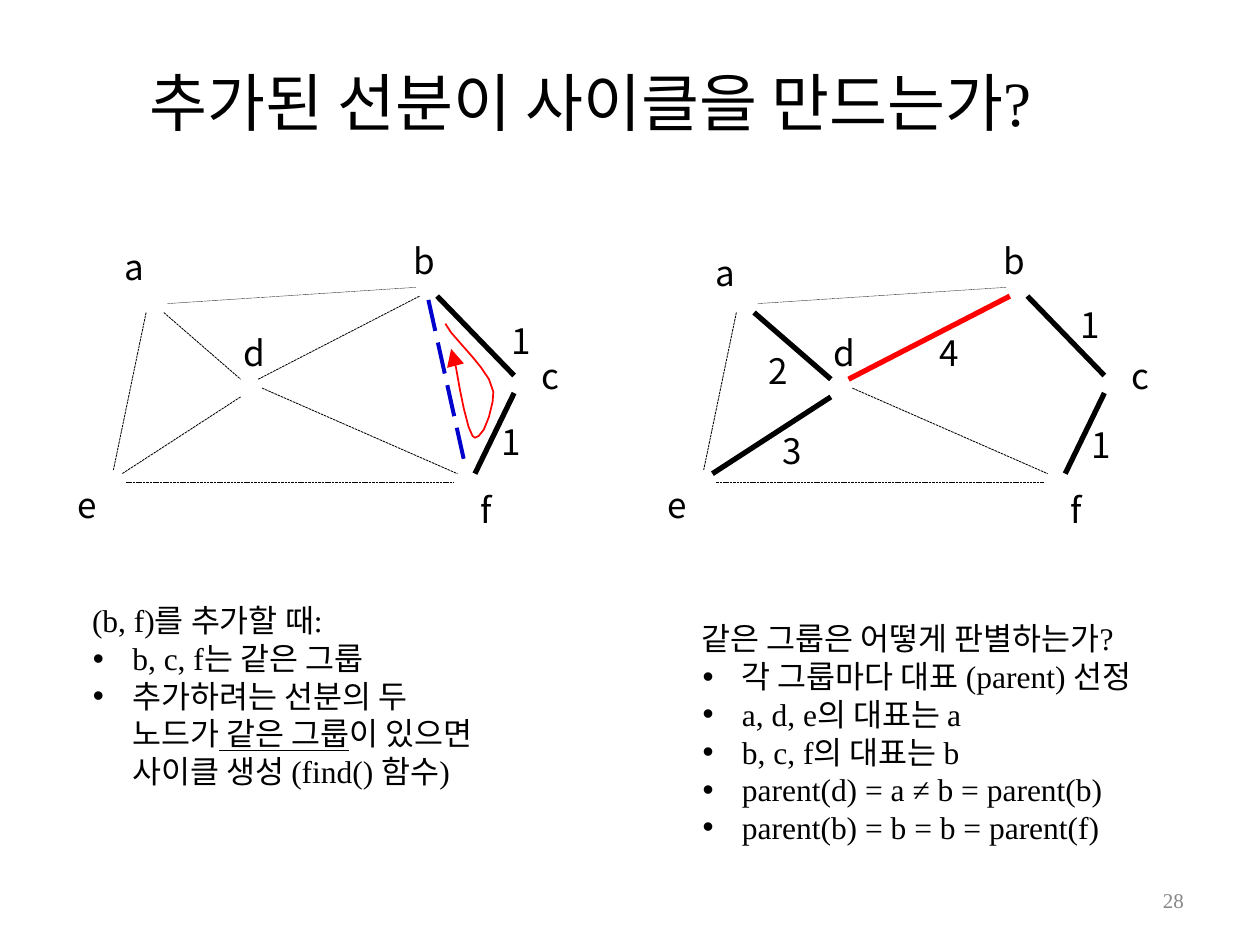
"""Build the slide on whether an added edge makes a cycle."""
from lxml.etree import SubElement
from pptx import Presentation
from pptx.dml.color import RGBColor
from pptx.enum.dml import MSO_LINE
from pptx.enum.shapes import MSO_CONNECTOR
from pptx.enum.text import MSO_ANCHOR, MSO_AUTO_SIZE, PP_ALIGN
from pptx.oxml.ns import qn
from pptx.util import Pt

COLORS = {"ink": "000000", "red": "FF0000", "blue": "0000CC", "gray": "888888"}
SERIF, HANGUL = "Times New Roman", "Noto Sans CJK KR"
FRAME = {
    "margin_left": 0, "margin_right": 0, "margin_top": 0, "margin_bottom": 0,
    "word_wrap": True, "auto_size": MSO_AUTO_SIZE.NONE,
    "vertical_anchor": MSO_ANCHOR.TOP,
}


def write(holder, place, paragraphs, size, spacing, color="ink", latin=SERIF, bullets=False):
    holder.left, holder.top, holder.width, holder.height = map(Pt, place)
    frame = holder.text_frame
    for key, value in FRAME.items():
        setattr(frame, key, value)
    for number, runs in enumerate(paragraphs):
        line = frame.add_paragraph() if number else frame.paragraphs[0]
        layout = {"alignment": PP_ALIGN.LEFT, "line_spacing": Pt(spacing), "space_before": Pt(0)}
        for key, value in layout.items():
            setattr(line, key, value)
        if bullets:
            properties = line._p.get_or_add_pPr()
            properties.set("marL", str(Pt(23)))
            properties.set("indent", str(-Pt(22.5)))
        for words in runs:
            run = line.add_run()
            run.text = words
            face = HANGUL if any("가" <= letter <= "힣" for letter in words) else latin
            run.font.size = Pt(size)
            run.font.color.rgb = RGBColor.from_string(COLORS[color])
            run.font.name = face
            SubElement(run._r.get_or_add_rPr(), qn("a:ea"), typeface=face)


def stroke(outline, color, width, dash=None):
    outline.line.color.rgb = RGBColor.from_string(COLORS[color])
    outline.line.width = Pt(width)
    if dash:
        outline.line.dash_style = dash
    SubElement(outline._element.spPr, qn("a:effectLst"))


deck = Presentation()
deck.slide_width, deck.slide_height = Pt(720), Pt(540)
slide = deck.slides.add_slide(deck.slide_layouts[3])
shapes = slide.shapes
title, left_list, right_list = slide.placeholders

write(title, (85.7, 31.7, 549, 48), [["추가된 선분이 사이클을 만드는가", "?"]], 36, 47.5)

EDGES = {
    "ad": (93.6, 178.6, 137.5, 216.7),
    "de": (137.5, 226.8, 69.8, 270.7),
    "ae": (83.5, 178.6, 64.8, 268.6),
    "df": (149.8, 221.8, 261.4, 270.7),
    "ef": (72, 275.8, 259.2, 275.8),
    "ab": (95.8, 173.5, 237.6, 164.2),
    "bd": (147.6, 216.7, 239.8, 169.2),
    "bc": (293.8, 214.6, 249.8, 169.2),
    "cf": (271.4, 270.7, 293.8, 224.6),
    "bf": (244.8, 171.4, 266.4, 268.6),
}
NODES = {"b": (236.4, 134.6), "c": (309.2, 200.5), "d": (139.2, 187.2),
         "e": (44.4, 274.3), "f": (274.6, 277.2)}
THIN = ("ink", 0.48, MSO_LINE.SQUARE_DOT)
FAINT = ("ink", 0.25, MSO_LINE.ROUND_DOT)
CHOSEN = ("ink", 3)
GRAPHS = [
    {"shift": 0,
     "edges": {"ab": FAINT, "bc": CHOSEN, "cf": CHOSEN,
               "bf": ("blue", 2.28, MSO_LINE.LONG_DASH)},
     "labels": [("a", 71.3, 138.2), ("1", 292.3, 180.5), ("1", 286.6, 238.3)]},
    {"shift": 337.3,
     "edges": {"ab": FAINT, "ad": CHOSEN, "de": CHOSEN, "bd": ("red", 3),
               "bc": CHOSEN, "cf": CHOSEN, "bf": None},
     "labels": [("a", 71.3, 141.8), ("1", 279.9, 171.4), ("1", 286.6, 239.8),
                ("2", 101.9, 198), ("3", 109.8, 243.4), ("4", 199.8, 187.2)]},
]
for graph in GRAPHS:
    shift = graph["shift"]
    for pair, (x1, y1, x2, y2) in EDGES.items():
        look = graph["edges"].get(pair, THIN)
        if look:
            edge = shapes.add_connector(
                MSO_CONNECTOR.STRAIGHT, Pt(x1 + shift), Pt(y1), Pt(x2 + shift), Pt(y2))
            stroke(edge, *look)
    labels = graph["labels"] + [(node, *spot) for node, spot in NODES.items()]
    for letter, x, y in labels:
        write(shapes.add_textbox(0, 0, 0, 0), (x + shift, y, 14, 26), [[letter]], 20, 26, latin=HANGUL)

LOOP = [
    (254.5, 185), (257.8, 190.1), (263.5, 196.6), (270.4, 204.5), (275, 210.2),
    (279.4, 216.7), (281.9, 223.9), (281.5, 229.7), (279.4, 238.3), (276.5, 245.5),
    (273.6, 249.1), (271.4, 250.2), (270, 249.1), (267.8, 244.1), (265, 233.3),
    (262.8, 222.5), (260.6, 210.2), (257.8, 199.4),
]
trail = [(Pt(x), Pt(y)) for x, y in LOOP]
builder = shapes.build_freeform(*trail[0])
builder.add_line_segments(trail[1:], close=False)
cycle = builder.convert_to_shape()
cycle.fill.background()
stroke(cycle, "red", 1)
SubElement(cycle.line._get_or_add_ln(), qn("a:tailEnd"), type="triangle", w="lg", len="lg")

write(shapes.add_textbox(0, 0, 0, 0), (52.6, 341.3, 200, 24),
      [["(b, f)", "를 추가할 때", ":"]], 18, 24)
write(left_list, (52.6, 365.4, 224, 88), [
    ["b, c, f", "는 같은 그룹"],
    ["추가하려는 선분의 두 노드가", " 같은 그룹", "이 있으면 사이클 생성 ", "(find() ", "함수", ")"],
], 18, 21.5, bullets=True)
left_list.text_frame.paragraphs[1].runs[1].font.underline = True

write(shapes.add_textbox(0, 0, 0, 0), (401, 351.4, 258, 24),
      [["같은 그룹은 어떻게 판별하는가", "?"]], 18, 24)
write(right_list, (401, 375.8, 270, 109), [
    ["각 그룹마다 대표 ", "(parent) ", "선정"],
    ["a, d, e", "의 대표는 ", "a"],
    ["b, c, f", "의 대표는 ", "b"],
    ["parent(d) = a ≠ b = parent(b)"],
    ["parent(b) = b = b = parent(f)"],
], 18, 21.5, bullets=True)

write(shapes.add_textbox(0, 0, 0, 0), (664.5, 507.6, 20, 15), [["28"]], 12, 14.1, "gray")

deck.save("out.pptx")
